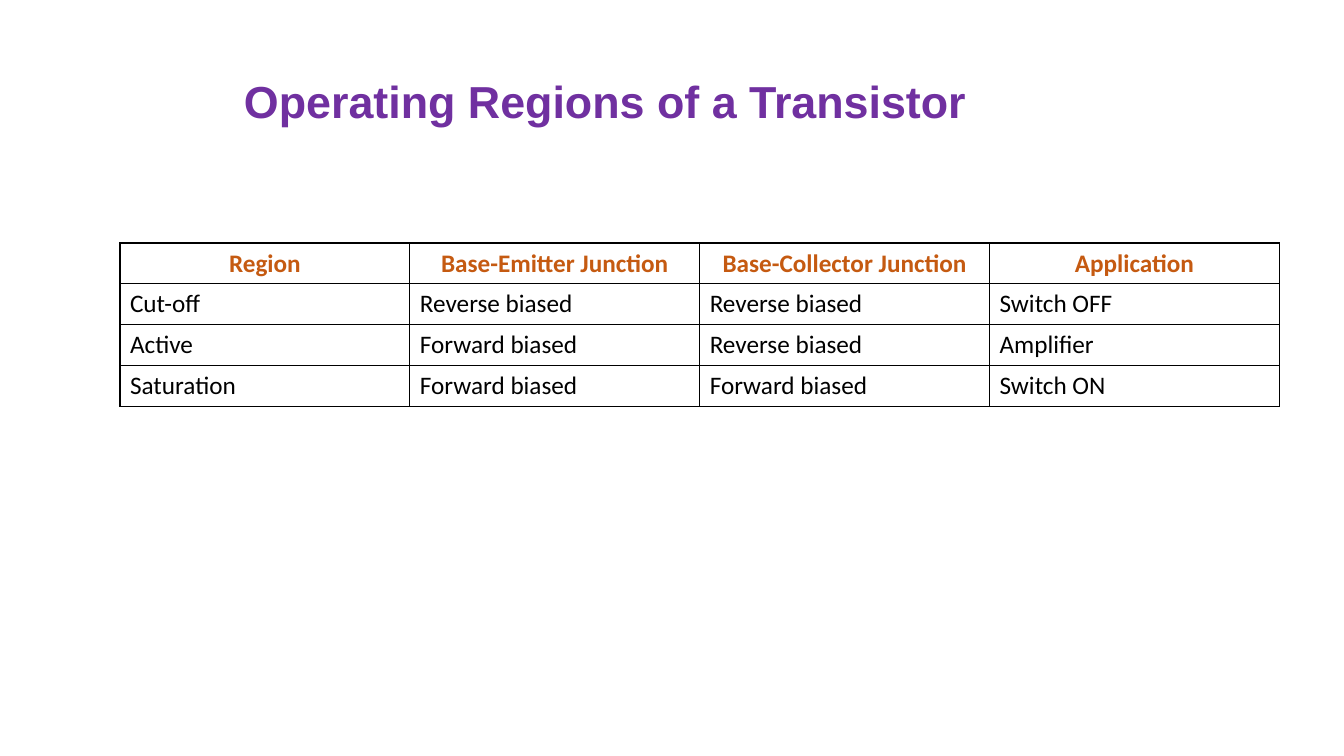
from lxml.etree import SubElement
from pptx import Presentation
from pptx.dml.color import RGBColor
from pptx.enum.text import MSO_ANCHOR as Anchor, MSO_AUTO_SIZE as AutoSize, PP_ALIGN as Align
from pptx.oxml.ns import qn
from pptx.util import Inches, Pt

COLORS = {"title": "7030A0", "header": "C55A11", "body": "000000", "border": "000000"}
TITLE_FONT = {"name": "Arial", "size": Pt(32), "bold": True}
HEADER_FONT = {"name": "Calibri", "size": Pt(18), "bold": True}
BODY_FONT = {**HEADER_FONT, "bold": False}

REGIONS = [
    ["Region", "Base-Emitter Junction", "Base-Collector Junction", "Application"],
    ["Cut-off", "Reverse biased", "Reverse biased", "Switch OFF"],
    ["Active", "Forward biased", "Reverse biased", "Amplifier"],
    ["Saturation", "Forward biased", "Forward biased", "Switch ON"],
]


def write(tf, text, font, color, align):
    p = tf.paragraphs[0]
    p.alignment = align
    r = p.add_run()
    r.text = text
    for name, value in font.items():
        setattr(r.font, name, value)
    r.font.color.rgb = RGBColor.from_string(COLORS[color])


def add_borders(cell):
    tcPr = cell._tc.get_or_add_tcPr()
    for side in ("lnL", "lnR", "lnT", "lnB"):
        ln = SubElement(tcPr, qn(f"a:{side}"), w=str(Pt(1)))
        fill = SubElement(ln, qn("a:solidFill"))
        SubElement(fill, qn("a:srgbClr"), val=COLORS["border"])


def add_title(s, text, left, top, width, height):
    sp = s.shapes.title
    sp.left, sp.top, sp.width, sp.height = left, top, width, height
    tf = sp.text_frame
    tf.word_wrap = False
    tf.auto_size = AutoSize.NONE
    tf.vertical_anchor = Anchor.MIDDLE
    write(tf, text, TITLE_FONT, "title", Align.CENTER)


def add_region_table(s, rows, left, top, width, height):
    table = s.shapes.add_table(len(rows), len(rows[0]), left, top, width, height).table
    table.first_row = table.horz_banding = False
    for i, row in enumerate(rows):
        for j, text in enumerate(row):
            cell = table.cell(i, j)
            add_borders(cell)
            cell.fill.background()
            cell.vertical_anchor = Anchor.MIDDLE
            if i == 0:
                write(cell.text_frame, text, HEADER_FONT, "header", Align.CENTER)
            else:
                write(cell.text_frame, text, BODY_FONT, "body", Align.LEFT)


def main():
    prs = Presentation()
    prs.slide_width, prs.slide_height = Inches(13.33), Inches(7.5)
    s = prs.slides.add_slide(prs.slide_layouts[5])

    # Heading
    add_title(s, "Operating Regions of a Transistor",
              Inches(2.17), Inches(0.65), Inches(7.67), Inches(0.7))
    # Regions and their junction biasing
    add_region_table(s, REGIONS, Inches(1.19), Inches(2.41), Inches(11.5), Inches(1.6))

    prs.save("out.pptx")


if __name__ == "__main__":
    main()
